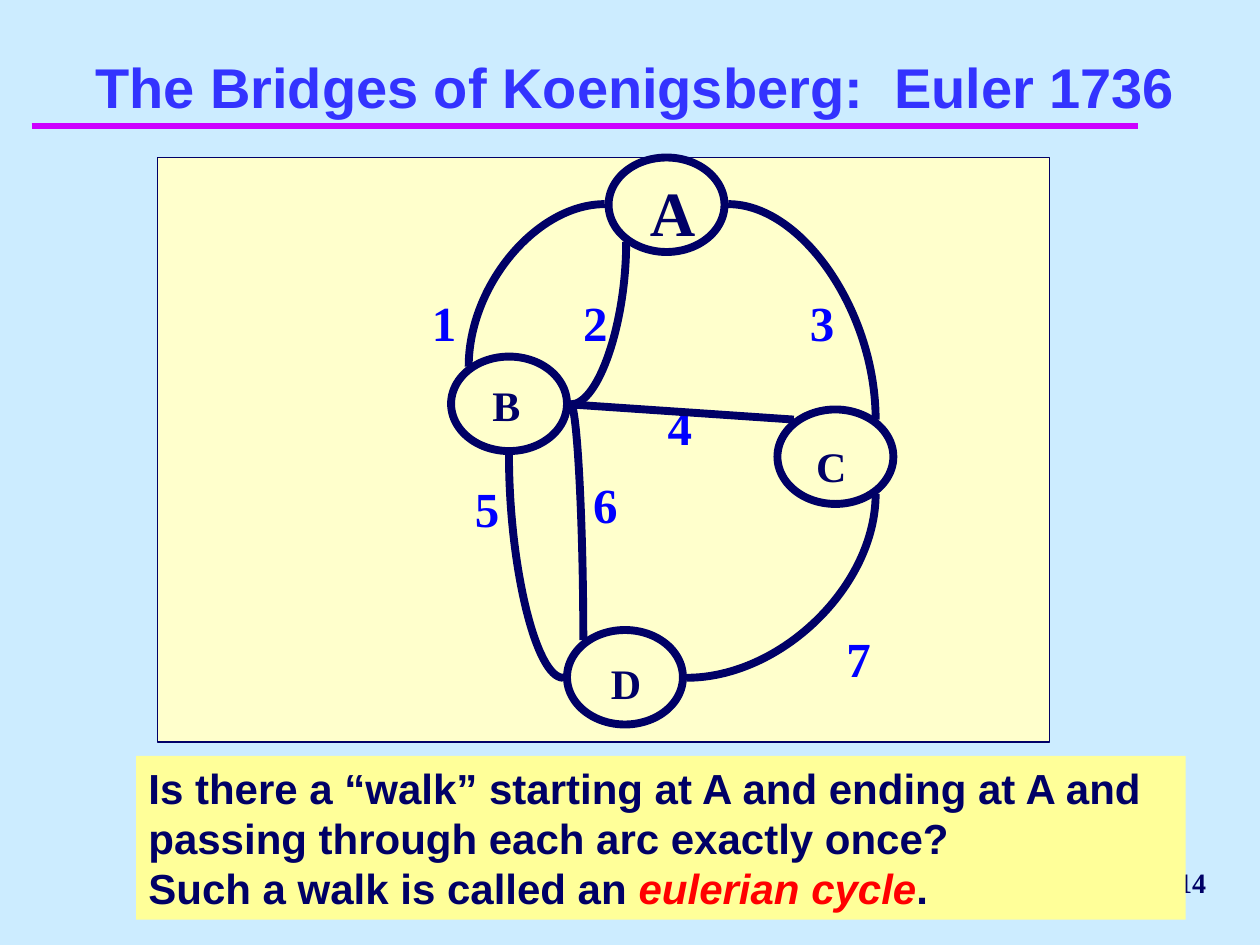
from dataclasses import dataclass
from lxml import etree
from pptx import Presentation
from pptx.dml.color import RGBColor
from pptx.enum.shapes import MSO_CONNECTOR, MSO_SHAPE
from pptx.enum.text import MSO_ANCHOR, MSO_AUTO_SIZE, PP_ALIGN
from pptx.oxml.ns import qn
from pptx.util import Pt

PX = 9144
OVAL, RECT = MSO_SHAPE.OVAL, MSO_SHAPE.RECTANGLE
LINE, CURVE = MSO_CONNECTOR.STRAIGHT, MSO_CONNECTOR.CURVE
BOTTOM, MIDDLE = MSO_ANCHOR.BOTTOM, MSO_ANCHOR.MIDDLE
LEFT, RIGHT, CENTER = PP_ALIGN.LEFT, PP_ALIGN.RIGHT, PP_ALIGN.CENTER
GROW, FIXED = MSO_AUTO_SIZE.SHAPE_TO_FIT_TEXT, MSO_AUTO_SIZE.NONE


@dataclass(frozen=True)
class Theme:
    """Colours, fonts and sizes of the slide."""
    back: str = "CCECFF"
    title: str = "3333FF"
    rule: str = "CC00FF"
    ink: str = "000066"
    panel: str = "FFFFCC"
    note: str = "FFFF99"
    mark: str = "0000FF"
    alert: str = "FF0000"
    sans: str = "Arial"
    serif: str = "Times New Roman"
    head: int = 32
    large: int = 36
    label: int = 28
    body: int = 24
    small: int = 16
    thick: float = 4.5
    bar: float = 4
    thin: float = 0.75


THEME = Theme()

NODES = [
    ("A", (483, 125), (506, 133, 86, 70), THEME.large),
    ("C", (617, 325), (638, 345, 86, 50), THEME.body),
    ("D", (450, 500), (475, 517, 86, 50), THEME.body),
    ("B", (358, 283), (381, 296, 86, 50), THEME.body),
]
LABELS = [
    ("1", 333, 227), ("2", 453, 227), ("4", 520, 310), ("3", 633, 227),
    ("7", 662, 494), ("6", 461, 372), ("5", 367, 375),
]
ARCS = [
    (480, 162, 372, 291), (453, 321, 497, 192), (453, 321, 463, 508),
    (447, 538, 404, 361), (545, 538, 695, 392), (578, 162, 695, 333),
]


def emu(*sizes):
    """Turn px into EMU."""
    return [size * PX for size in sizes]


def rgb(code):
    """Make a colour from its hex code."""
    return RGBColor.from_string(code)


def style(font, name, size, color):
    """Set a bold font."""
    font.name, font.size, font.bold = name, Pt(size), True
    font.color.rgb = rgb(color)


def add_text(shapes, box, text, name, size, color, align=LEFT):
    """Add a wrapped text box and return it."""
    item = shapes.add_textbox(*emu(*box))
    frame = item.text_frame
    frame.word_wrap, frame.auto_size = True, GROW
    para = frame.paragraphs[0]
    para.text, para.alignment = text, align
    para.space_before = Pt(size * 0.625)
    style(para.font, name, size, color)
    return item


def add_shape(shapes, kind, box, fill, width):
    """Add an outlined shape, hollow when it has no fill."""
    item = shapes.add_shape(kind, *emu(*box))
    item.shadow.inherit = False
    if fill:
        item.fill.solid()
        item.fill.fore_color.rgb = rgb(fill)
    else:
        item.fill.background()
    item.line.color.rgb = rgb(THEME.ink)
    item.line.width = Pt(width)


def add_line(shapes, ends, color, width, kind=LINE):
    """Add a line, or an arc that leaves level and arrives upright."""
    item = shapes.add_connector(kind, *emu(*ends))
    item.line.color.rgb, item.line.width = rgb(color), Pt(width)
    props = item._element.spPr
    etree.SubElement(props, qn("a:effectLst"))
    if kind == CURVE:
        props.find(qn("a:prstGeom")).set("prst", "curvedConnector2")


def add_node(shapes, name, spot, box, size):
    """Add a ringed letter as a group."""
    group = shapes.add_group_shape().shapes
    add_text(group, box, name, THEME.serif, size, THEME.ink)
    add_shape(group, OVAL, (*spot, 92, 75), None, THEME.thick)


def set_title(title, text):
    """Place and format the title."""
    title.left, title.top, title.width, title.height = emu(42, 8, 925, 92)
    frame = title.text_frame
    frame.vertical_anchor, frame.auto_size = BOTTOM, FIXED
    para = frame.paragraphs[0]
    para.text, para.alignment = text, CENTER
    style(para.font, THEME.sans, THEME.head, THEME.title)


def add_page(shapes, text):
    """Add the page number."""
    item = add_text(shapes, (775, 675, 192, 50), text, THEME.serif,
                    THEME.small, THEME.ink, RIGHT)
    frame = item.text_frame
    frame.word_wrap, frame.auto_size = False, FIXED
    frame.vertical_anchor = MIDDLE
    frame.paragraphs[0].space_before = Pt(0)


def add_note(shapes):
    """Add the question with its key term in colour."""
    text = ("Is there a “walk” starting at A and ending at A and passing "
            "through each arc exactly once?\vSuch a walk is called an ")
    item = add_text(shapes, (108, 600, 833, 130), text, THEME.sans,
                    THEME.body, THEME.ink)
    item.fill.solid()
    item.fill.fore_color.rgb = rgb(THEME.note)
    para = item.text_frame.paragraphs[0]
    term = para.add_run()
    term.text, term.font.italic = "eulerian cycle", True
    term.font.color.rgb = rgb(THEME.alert)
    para.add_run().text = "."


def main():
    """Build and save the slide."""
    deck = Presentation()
    deck.slide_width, deck.slide_height = emu(1000, 750)
    slide = deck.slides.add_slide(deck.slide_layouts[5])
    slide.background.fill.solid()
    slide.background.fill.fore_color.rgb = rgb(THEME.back)
    shapes = slide.shapes
    set_title(shapes.title, "The Bridges of Koenigsberg:  Euler 1736")
    add_line(shapes, (25, 100, 903, 100), THEME.rule, THEME.bar)
    add_page(shapes, "14")
    add_shape(shapes, RECT, (125, 125, 708, 464), THEME.panel, THEME.thin)
    for text, left, top in LABELS:
        add_text(shapes, (left, top, 64, 57), text, THEME.serif,
                 THEME.label, THEME.mark)
    add_note(shapes)
    for node in NODES:
        add_node(shapes, *node)
    for arc in ARCS:
        add_line(shapes, arc, THEME.ink, THEME.thick, CURVE)
    add_line(shapes, (453, 321, 630, 333), THEME.ink, THEME.thick)
    deck.save("out.pptx")


if __name__ == "__main__":
    main()
